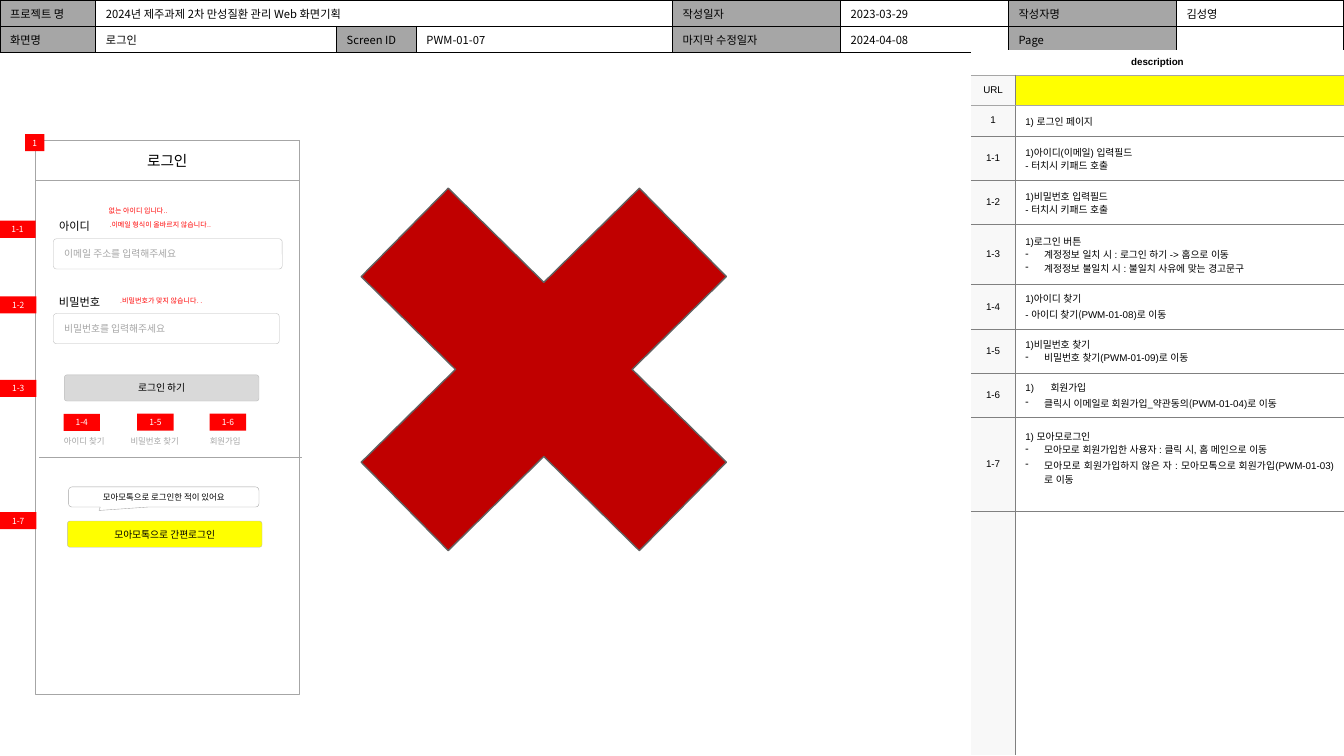
from lxml import etree
from pptx import Presentation
from pptx.dml.color import RGBColor
from pptx.enum.shapes import MSO_CONNECTOR, MSO_SHAPE
from pptx.enum.text import MSO_ANCHOR, PP_ALIGN
from pptx.oxml.ns import qn
from pptx.util import Pt

RECT, ROUND = MSO_SHAPE.RECTANGLE, MSO_SHAPE.ROUNDED_RECTANGLE
CALLOUT, CROSS = MSO_SHAPE.ROUNDED_RECTANGULAR_CALLOUT, MSO_SHAPE.MATH_MULTIPLY
LEFT, CENTER, JUSTIFY = PP_ALIGN.LEFT, PP_ALIGN.CENTER, PP_ALIGN.JUSTIFY
MIDDLE, TOP = MSO_ANCHOR.MIDDLE, MSO_ANCHOR.TOP
KOREAN, LATIN = "Noto Sans CJK KR", "Arial"
COLORS = {
    "black": "000000", "white": "FFFFFF", "label": "A6A6A6", "key": "F8F8F8",
    "rule": "808080", "field": "BABABA", "bubble": "A3A3A3", "button": "D9D9D9",
    "yellow": "FFFF00", "red": "FF0000", "cross": "C00000", "cross line": "616161",
}

HEADER_WIDTHS = [68.5, 172, 57, 183, 120, 120, 120, 119.5]
HEADER_HEIGHT = 18.9
HEADER = [
    ["프로젝트 명", "2024년 제주과제 2차 만성질환 관리 Web 화면기획", "", "",
     "작성일자", "2023-03-29", "작성자명", "김성영"],
    ["화면명", "로그인", "Screen ID", "PWM-01-07",
     "마지막 수정일자", "2024-04-08", "Page", ""],
]
HEADER_LABELS = [{0, 4, 6}, {0, 2, 4, 6}]

# Key, row height, lines as (bullet, text); text between bars is in the Korean font
DESCRIPTION_WIDTHS = [31.7, 234.8]
DESCRIPTION = [
    ("description", 18, []),
    ("URL", 21.6, []),
    ("1", 22, [("", "1) 로그인 페이지")]),
    ("1-1", 31.6, [("", "1)아이디(이메일) 입력필드"), ("", "- 터치시 키패드 호출")]),
    ("1-2", 31.6, [("", "1)비밀번호 입력필드"), ("", "- 터치시 키패드 호출")]),
    ("1-3", 43, [("", "1)로그인 버튼"),
                 ("-", "계정정보 일치 시 : 로그인 하기 -> 홈으로 이동"),
                 ("-", "계정정보 불일치 시 : 불일치 사유에 맞는 경고문구")]),
    ("1-4", 31.6, [("", "1)아이디 찾기"), ("", "- |아이디 찾기(|PWM-01-08)로 이동")]),
    ("1-5", 31.6, [("", "1)비밀번호 찾기"), ("-", "비밀번호 찾기(PWM-01-09)로 이동")]),
    ("1-6", 31.6, [("1)", "회원가입"),
                   ("-", "클릭시 |이메일로 회원가입_약관동의(|PWM-01-04)로 이동")]),
    ("1-7", 67, [("", "1) 모아모로그인"),
                 ("-", "모아모로 회원가입한 사용자 : 클릭 시, 홈 메인으로 이동"),
                 ("-", "모아모로 회원가입하지 않은 자 : |모아모톡으로 회원가입|(PWM-01-03)로 이동")]),
    ("", 174.5, []),
]

# Kind, box, fill, line, text, size, text colour, alignment
SHAPES = [
    (RECT, (25.2, 100, 188.6, 396), None, "label", "", 0, "black", CENTER),
    (RECT, (25.2, 100, 188.6, 28.8), None, "label", "로그인", 10.5, "black", CENTER),
    (ROUND, (38.2, 170.6, 163.4, 21.6), None, "field", "이메일 주소를 입력해주세요", 7, "label", LEFT),
    (ROUND, (38.2, 224, 161.3, 21.6), None, "field", "비밀번호를 입력해주세요", 7, "label", LEFT),
    (ROUND, (46, 267.8, 139, 18.7), "button", "field", "로그인 하기", 7, "black", CENTER),
    (ROUND, (48.2, 372.2, 139, 18.7), "yellow", "field", "모아모톡으로 간편로그인", 7, "black", CENTER),
    (CALLOUT, (49, 347.8, 136, 14.4), None, "bubble", "모아모톡으로 로그인한 적이 있어요", 6, "black", CENTER),
]
ADJUSTMENTS = {ROUND: [0.1], CALLOUT: [-0.34, 0.67, 0.17]}
BADGES = [
    ("1", 18, 95.8, 13.7), ("1-1", -0.5, 157.7, 26), ("1-2", 0, 211.7, 26),
    ("1-3", 0, 271.4, 26), ("1-4", 45.4, 295.6, 26), ("1-5", 98, 295.4, 26),
    ("1-6", 149.8, 295.4, 26), ("1-7", 0, 365.8, 26),
]
TEXTS = [
    ("아이디", (32.4, 153.4, 41.8, 17.3), 8, "black"),
    ("비밀번호", (32.4, 207.4, 49, 17.3), 8, "black"),
    ("아이디 찾기", (31, 308.2, 58.3, 14.4), 6, "label"),
    ("비밀번호 찾기", (77, 308.2, 67, 14.4), 6, "label"),
    ("회원가입", (127.4, 308.2, 67, 14.4), 6, "label"),
    ("없는 아이디 입니다..", (53.3, 144, 90.7, 13.7), 5, "red"),
    (".이메일 형식이 올바르지 않습니다..", (64.8, 154.1, 99.4, 13.7), 5, "red"),
    (".비밀번호가 맞지 않습니다. .", (66.2, 208.1, 98, 13.7), 5, "red"),
]


def rgb(name):
    return RGBColor.from_string(COLORS[name])


def paint(fill, color):
    if color:
        fill.solid()
        fill.fore_color.rgb = rgb(color)
    else:
        fill.background()


def format_run(run, size, color, font=KOREAN, bold=False):
    run.font.size, run.font.name, run.font.bold = Pt(size), font, bold
    run.font.color.rgb = rgb(color)
    east_asian = etree.SubElement(run.font._element, qn("a:ea"))
    east_asian.set("typeface", font)


def write(text_frame, text, size, color, align, anchor=MIDDLE):
    text_frame.word_wrap = True
    text_frame.vertical_anchor = anchor
    text_frame.text = text
    paragraph = text_frame.paragraphs[0]
    paragraph.alignment = align
    for run in paragraph.runs:
        format_run(run, size, color)


def add_box(kind, box, fill, line, width=0.25):
    shape = slide.shapes.add_shape(kind, *map(Pt, box))
    shape.shadow.inherit = False
    paint(shape.fill, fill)
    paint(shape.line.fill, line)
    if line:
        shape.line.width = Pt(width)
    for index, value in enumerate(ADJUSTMENTS.get(kind, [])):
        shape.adjustments[index] = value
    return shape


def add_plain_table(left, top, widths, heights):
    frame = slide.shapes.add_table(len(heights), len(widths), Pt(left), Pt(top),
                                   Pt(sum(widths)), Pt(sum(heights)))
    table = frame.table
    table.first_row = table.horz_banding = False
    for column, width in zip(table.columns, widths):
        column.width = Pt(width)
    for row, height in zip(table.rows, heights):
        row.height = Pt(height)
    return table


def style_cell(cell, fill, borders, width):
    """Set fill, middle anchor and the left, right, top and bottom border colours."""
    cell.vertical_anchor = MIDDLE
    paint(cell.fill, fill)
    properties = cell._tc.get_or_add_tcPr()
    for index, (side, color) in enumerate(zip("LRTB", borders)):
        line = etree.Element(qn("a:ln" + side), w=str(Pt(width)))
        if color:
            solid = etree.SubElement(line, qn("a:solidFill"))
            etree.SubElement(solid, qn("a:srgbClr"), val=COLORS[color])
        else:
            etree.SubElement(line, qn("a:noFill"))
        properties.insert(index, line)
    if not cell.text_frame.text:
        etree.SubElement(cell.text_frame.paragraphs[0]._p, qn("a:endParaRPr"), sz="700")


def write_line(paragraph, bullet, text):
    paragraph.alignment, paragraph.line_spacing = JUSTIFY, 1.2
    if bullet:
        indent = Pt(18 if bullet == "1)" else 13.5)
        properties = paragraph._p.get_or_add_pPr()
        properties.set("marL", str(indent))
        properties.set("indent", str(-indent))
        if bullet == "1)":
            etree.SubElement(properties, qn("a:buAutoNum"), type="arabicParenR")
        else:
            etree.SubElement(properties, qn("a:buChar"), char=bullet)
    for index, part in enumerate(text.split("|")):
        run = paragraph.add_run()
        run.text = part
        format_run(run, 7, "black", KOREAN if index % 2 else LATIN)


def add_header():
    table = add_plain_table(0, 0, HEADER_WIDTHS, [HEADER_HEIGHT] * len(HEADER))
    for r, texts in enumerate(HEADER):
        for c, text in enumerate(texts):
            cell = table.cell(r, c)
            if text:
                write(cell.text_frame, text, 8, "black", LEFT)
            style_cell(cell, "label" if c in HEADER_LABELS[r] else None, ["black"] * 4, 1)
    table.cell(0, 1).merge(table.cell(0, 3))


def add_description():
    heights = [height for _, height, _ in DESCRIPTION]
    table = add_plain_table(693.5, 35.5, DESCRIPTION_WIDTHS, heights)
    table.cell(0, 0).merge(table.cell(0, 1))
    rules = [None, "label", "label"] + ["rule"] * (len(DESCRIPTION) - 3) + [None]
    for r, (key, _, lines) in enumerate(DESCRIPTION):
        key_cell, text_cell = table.cell(r, 0), table.cell(r, 1)
        key_cell.text_frame.text = key
        paragraph = key_cell.text_frame.paragraphs[0]
        paragraph.alignment = CENTER
        for run in paragraph.runs:
            format_run(run, 7, "black", LATIN, bold=r == 0)
        for index, line in enumerate(lines):
            frame = text_cell.text_frame
            write_line(frame.add_paragraph() if index else frame.paragraphs[0], *line)
        divider = "rule" if r else None
        edges = [rules[r], rules[r + 1]]
        style_cell(key_cell, "key" if r else "white", [None, divider] + edges, 0.25)
        style_cell(text_cell, "yellow" if key == "URL" else None, [divider, None] + edges, 0.25)
        if key == "1-7":
            text_cell.margin_bottom = Pt(13)


presentation = Presentation()
presentation.slide_width, presentation.slide_height = Pt(960), Pt(540)
slide = presentation.slides.add_slide(presentation.slide_layouts[6])

add_header()
add_description()
for kind, box, fill, line, text, size, color, align in SHAPES:
    shape = add_box(kind, box, fill, line)
    if text:
        write(shape.text_frame, text, size, color, align)
for text, left, top, width in BADGES:
    frame = add_box(RECT, (left, top, width, 12.2), "red", None).text_frame
    frame.margin_left = frame.margin_right = frame.margin_top = frame.margin_bottom = 0
    write(frame, text, 6, "white", CENTER)
for text, box, size, color in TEXTS:
    write(slide.shapes.add_textbox(*map(Pt, box)).text_frame, text, size, color, CENTER, TOP)

divider_line = slide.shapes.add_connector(
    MSO_CONNECTOR.STRAIGHT, Pt(28), Pt(326.4), Pt(215.4), Pt(326.4))
divider_line.line.color.rgb = rgb("label")
divider_line.line.width = Pt(0.5)
etree.SubElement(divider_line._element.spPr, qn("a:effectLst"))

add_box(CROSS, (197.3, 75.6, 382.3, 376.6), "cross", "cross line", 1)

presentation.save("out.pptx")
